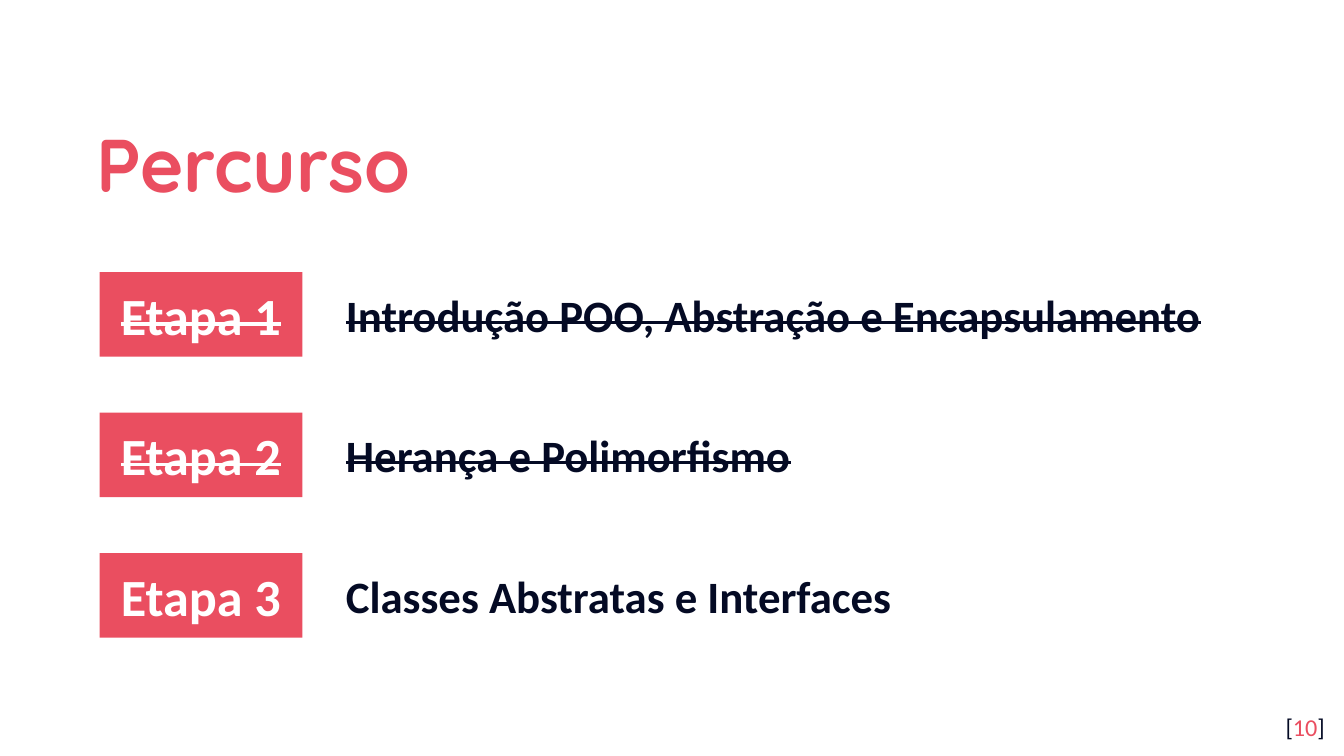
from pptx import Presentation
from pptx.dml.color import RGBColor
from pptx.enum.shapes import MSO_SHAPE
from pptx.enum.text import MSO_ANCHOR, MSO_AUTO_SIZE, PP_ALIGN
from pptx.util import Cm, Pt

TITLE = "Percurso"
# label, topic, width of the topic in cm, finished
STAGES = [
    ("Etapa 1", "Introdução POO, Abstração e Encapsulamento", 22.86, True),
    ("Etapa 2", "Herança e Polimorfismo", 24.05, True),
    ("Etapa 3", "Classes Abstratas e Interfaces", 22.86, False),
]
PAGE = "10"

CORAL = RGBColor(0xEA, 0x4E, 0x60)
NAVY = RGBColor(0x04, 0x0A, 0x24)
WHITE = RGBColor(0xFF, 0xFF, 0xFF)
HEADING_FONT, BODY_FONT = "Quicksand", "Calibri"

LEFT, CENTER, RIGHT = PP_ALIGN.LEFT, PP_ALIGN.CENTER, PP_ALIGN.RIGHT
TOP, MIDDLE = MSO_ANCHOR.TOP, MSO_ANCHOR.MIDDLE
NO_AUTOFIT = MSO_AUTO_SIZE.NONE
RECTANGLE = MSO_SHAPE.RECTANGLE

LABEL_LEFT, LABEL_TOP = 2.51, 6.86
LABEL_WIDTH, LABEL_HEIGHT = 5.11, 2.13
STAGE_PITCH = 3.54
TOPIC_LEFT, TOPIC_HEIGHT = 8.38, 1.7
INSET, TOPIC_INSET = 0.34, 0.17


def set_up_text(shape, align, anchor, vertical_inset=INSET):
    """Lay out the text frame and return its first paragraph."""
    frame = shape.text_frame
    frame.word_wrap = True
    frame.auto_size = NO_AUTOFIT
    frame.vertical_anchor = anchor
    frame.margin_left = frame.margin_right = Cm(INSET)
    frame.margin_top = frame.margin_bottom = Cm(vertical_inset)
    paragraph = frame.paragraphs[0]
    paragraph.alignment = align
    return paragraph


def add_run(paragraph, text, size, color, font=BODY_FONT, bold=True, struck=False):
    run = paragraph.add_run()
    run.text = text
    run.font.name = font
    run.font.size = Pt(size)
    run.font.bold = bold
    run.font.color.rgb = color
    if struck:
        run.font._element.set("strike", "sngStrike")


def add_stage(slide, top, label, topic, topic_width, finished):
    label_box = slide.shapes.add_shape(
        RECTANGLE, Cm(LABEL_LEFT), Cm(top), Cm(LABEL_WIDTH), Cm(LABEL_HEIGHT))
    label_box.shadow.inherit = False
    label_box.fill.solid()
    label_box.fill.fore_color.rgb = CORAL
    label_box.line.fill.background()
    add_run(set_up_text(label_box, CENTER, MIDDLE), label, 37.3, WHITE, struck=finished)

    topic_top = top + (LABEL_HEIGHT - TOPIC_HEIGHT) / 2
    topic_box = slide.shapes.add_textbox(
        Cm(TOPIC_LEFT), Cm(topic_top), Cm(topic_width), Cm(TOPIC_HEIGHT))
    add_run(set_up_text(topic_box, LEFT, TOP, TOPIC_INSET), topic, 32, NAVY, struck=finished)


def main():
    prs = Presentation()
    prs.slide_width, prs.slide_height = Cm(33.87), Cm(19.05)
    slide = prs.slides.add_slide(prs.slide_layouts.get_by_name("Title Only"))

    title = slide.shapes.title
    title.left, title.top, title.width, title.height = Cm(2.08), Cm(2.36), Cm(27.46), Cm(3.12)
    heading = set_up_text(title, LEFT, MIDDLE)
    heading.line_spacing = 1.15
    add_run(heading, TITLE, 53.3, CORAL, HEADING_FONT)

    for index, stage in enumerate(STAGES):
        add_stage(slide, LABEL_TOP + index * STAGE_PITCH, *stage)

    page_box = slide.shapes.add_textbox(Cm(31.7), Cm(17.6), Cm(2.03), Cm(1.45))
    page_line = set_up_text(page_box, RIGHT, TOP)
    for text, color in (("[", NAVY), (PAGE, CORAL), ("]", NAVY)):
        add_run(page_line, text, 17.3, color, bold=False)

    prs.save("out.pptx")


if __name__ == "__main__":
    main()
